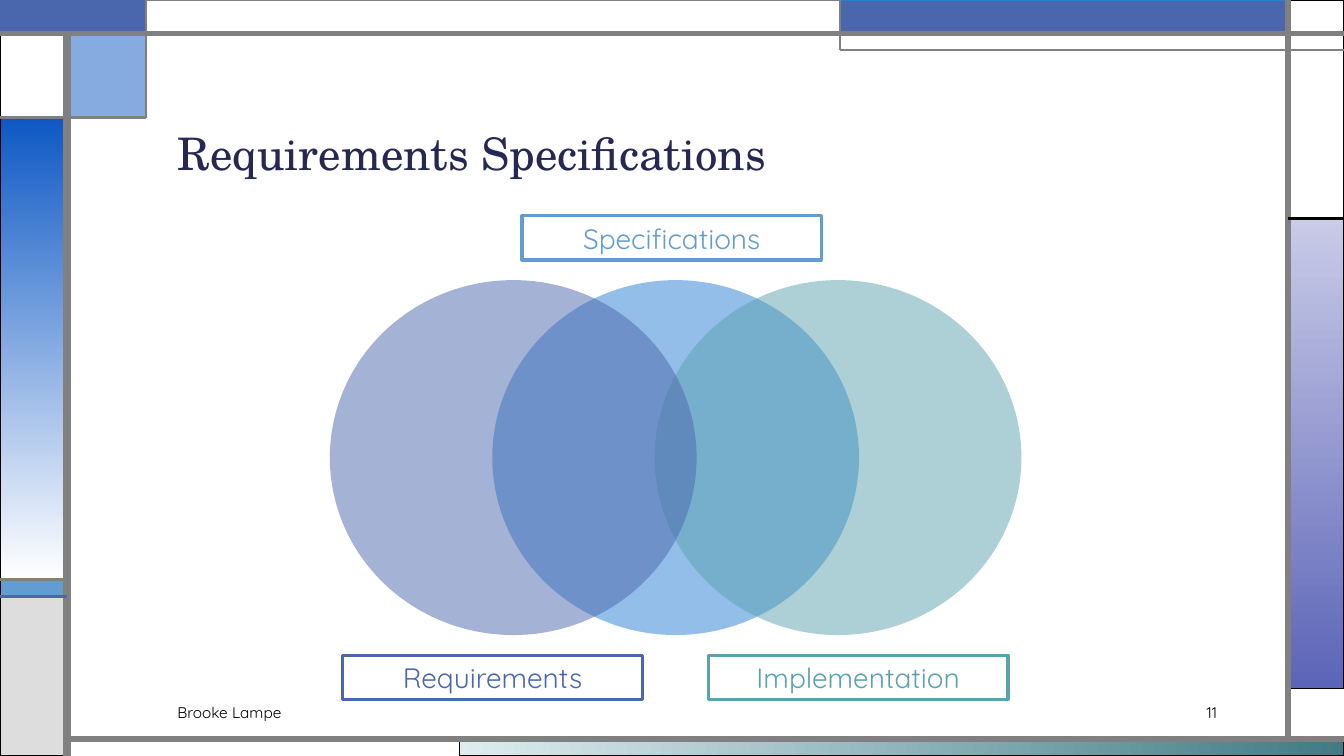
"""Build the requirements specifications slide: a framed page with a three-circle Venn diagram."""
from dataclasses import dataclass
from typing import Any, Optional

from lxml import etree
from pptx import Presentation
from pptx.dml.color import RGBColor
from pptx.enum.shapes import MSO_CONNECTOR, MSO_SHAPE
from pptx.enum.text import MSO_ANCHOR, MSO_AUTO_SIZE, PP_ALIGN
from pptx.oxml.ns import qn
from pptx.util import Inches, Pt

RECT, OVAL = MSO_SHAPE.RECTANGLE, MSO_SHAPE.OVAL
STRAIGHT = MSO_CONNECTOR.STRAIGHT
BOTTOM, MIDDLE = MSO_ANCHOR.BOTTOM, MSO_ANCHOR.MIDDLE
LEFT, CENTER, RIGHT = PP_ALIGN.LEFT, PP_ALIGN.CENTER, PP_ALIGN.RIGHT
NO_FIT = MSO_AUTO_SIZE.NONE

WIDTH, HEIGHT = Inches(40 / 3), Inches(7.5)
COLUMNS, ROWS = 120, 90


@dataclass(frozen=True)
class Theme:
    title_font: str = "TeX Gyre Schola"
    body_font: str = "Quicksand"
    title_size: int = 32
    label_size: int = 20
    footer_size: int = 11
    navy: str = "242852"
    indigo: str = "4A66AC"
    azure: str = "297FD5"
    sky: str = "629DD1"
    teal: str = "5AA2AE"
    cobalt: str = "0E58C4"
    white: str = "FFFFFF"
    black: str = "000000"
    gray: str = "808080"
    silver: str = "DDDDDD"
    pale_teal: str = "DEECEF"
    deep_teal: str = "417B85"
    lavender: str = "C9CBE7"
    violet: str = "5C64B7"


THEME = Theme()


@dataclass(frozen=True)
class Box:
    column: float
    row: float
    columns: float
    rows: float

    def emu(self) -> tuple[int, int, int, int]:
        return (across(self.column), down(self.row), across(self.columns), down(self.rows))


@dataclass(frozen=True)
class Panel:
    box: Box
    fill: Optional[str] = None
    fade_to: Optional[str] = None
    angle: int = 0
    alpha: int = 100
    edge: Optional[str] = THEME.black
    edge_width: float = 0.75
    outline: MSO_SHAPE = RECT


@dataclass(frozen=True)
class Rule:
    start: tuple[float, float]
    end: tuple[float, float]
    width: float
    color: str = THEME.gray


@dataclass(frozen=True)
class Wording:
    text: str
    size: int
    color: str
    font: str = THEME.body_font
    align: PP_ALIGN = LEFT
    anchor: MSO_ANCHOR = MIDDLE
    spacing: float = 1.0


@dataclass(frozen=True)
class VennSet:
    name: str
    position: int
    color: str
    label_color: str
    label_column: float
    label_row: float


FRAME_PANELS = [
    Panel(Box(41, 88, 79, 2), THEME.pale_teal, THEME.deep_teal),
    Panel(Box(115, 26, 5, 56), THEME.lavender, THEME.violet, 270),
    Panel(Box(0, 69, 6, 2), THEME.sky),
    Panel(Box(0, 71, 6, 19), THEME.silver),
    Panel(Box(115, 0, 5, 26), THEME.white),
    Panel(Box(75, 0, 40, 4), THEME.indigo, edge=THEME.azure),
    Panel(Box(6, 4, 7, 10), THEME.cobalt, alpha=50),
    Panel(Box(0, 14, 6, 55), THEME.cobalt, THEME.white, 270),
    Panel(Box(0, 4, 6, 10), THEME.white),
    Panel(Box(0, 0, 13, 4), THEME.indigo, edge=THEME.indigo, edge_width=1.5),
    Panel(Box(13, 0, 62, 4), THEME.white, edge=THEME.gray),
]
FRAME_RULES = [
    Rule((6, 90), (6, 4), 6),
    Rule((6, 88), (120, 88), 4.5),
    Rule((115, 88), (115, 0), 4.5),
    Rule((0, 4), (120, 4), 3),
    Rule((120, 6), (75, 6), 1.5),
    Rule((75, 6), (75, 0), 1.5),
    Rule((115, 26), (120, 26), 2.25, THEME.black),
    Rule((13, 0), (13, 14), 1.5),
    Rule((13, 14), (0, 14), 2.25),
    Rule((6, 69), (0, 69), 2.25),
    Rule((6, 71), (0, 71), 2.25, THEME.indigo),
]
VENN_SETS = [
    VennSet("Specifications", 1, THEME.azure, THEME.sky, 46.6, 25.7),
    VennSet("Implementation", 2, THEME.teal, THEME.teal, 63.25, 78),
    VennSet("Requirements", 0, THEME.indigo, THEME.indigo, 30.6, 78),
]
VENN_LEFT, VENN_TOP, VENN_STEP = 29.45, 33.35, 14.5
TITLE_BOX = Box(14.95, 7, 94.5, 15)
FOOTERS = [
    (Box(14.95, 83, 67.5, 3.6), "Brooke Lampe", LEFT),
    (Box(99.8, 83, 9.75, 3.6), "11", RIGHT),
]


def across(columns: float) -> int:
    """Convert grid columns to a length."""
    return round(WIDTH * columns / COLUMNS)


def down(rows: float) -> int:
    """Convert grid rows to a length."""
    return round(HEIGHT * rows / ROWS)


def assign(target: Any, values: dict[str, Any]) -> None:
    """Set each named format value on the target."""
    for name, value in values.items():
        setattr(target, name, value)


def draw_panel(slide: Any, panel: Panel) -> Any:
    """Draw a filled, faded or outlined shape."""
    shape = slide.shapes.add_shape(panel.outline, *panel.box.emu())
    shape.shadow.inherit = False
    if panel.fade_to:
        shape.fill.gradient()
        shape.fill.gradient_angle = panel.angle
        for stop, color in zip(shape.fill.gradient_stops, (panel.fill, panel.fade_to)):
            assign(stop, {"position": float(color == panel.fade_to)})
            stop.color.rgb = RGBColor.from_string(color)
    elif panel.fill:
        shape.fill.solid()
        shape.fill.fore_color.rgb = RGBColor.from_string(panel.fill)
        if panel.alpha < 100:
            tint = shape.fill._xPr.find(qn("a:solidFill"))[0]
            etree.SubElement(tint, qn("a:alpha"), val=str(panel.alpha * 1000))
    else:
        shape.fill.background()
    if panel.edge:
        shape.line.color.rgb = RGBColor.from_string(panel.edge)
        shape.line.width = Pt(panel.edge_width)
    else:
        shape.line.fill.background()
    return shape


def draw_rule(slide: Any, rule: Rule) -> None:
    """Draw one straight frame line."""
    ends = [length for column, row in (rule.start, rule.end) for length in (across(column), down(row))]
    connector = slide.shapes.add_connector(STRAIGHT, *ends)
    connector.line.color.rgb = RGBColor.from_string(rule.color)
    connector.line.width = Pt(rule.width)
    etree.SubElement(connector._element.spPr, qn("a:effectLst"))


def write(shape: Any, wording: Wording) -> None:
    """Put formatted wording into a shape."""
    frame = shape.text_frame
    frame.text = wording.text
    assign(frame, {"word_wrap": True, "auto_size": NO_FIT, "vertical_anchor": wording.anchor})
    paragraph = frame.paragraphs[0]
    assign(paragraph, {"alignment": wording.align, "line_spacing": wording.spacing})
    font = paragraph.runs[0].font
    assign(font, {"name": wording.font, "size": Pt(wording.size)})
    font.color.rgb = RGBColor.from_string(wording.color)


def main() -> None:
    """Assemble and save the slide."""
    deck = Presentation()
    assign(deck, {"slide_width": WIDTH, "slide_height": HEIGHT})
    slide = deck.slides.add_slide(deck.slide_layouts[5])
    for panel in FRAME_PANELS:
        draw_panel(slide, panel)
    for rule in FRAME_RULES:
        draw_rule(slide, rule)
    title = slide.shapes.title
    assign(title, dict(zip(("left", "top", "width", "height"), TITLE_BOX.emu())))
    write(title, Wording("Requirements Specifications", THEME.title_size, THEME.navy,
                         THEME.title_font, anchor=BOTTOM, spacing=0.9))
    for venn in VENN_SETS:
        circle = Box(VENN_LEFT + venn.position * VENN_STEP, VENN_TOP, 32.75, 42.25)
        draw_panel(slide, Panel(circle, venn.color, alpha=50, edge=None, outline=OVAL))
    for venn in VENN_SETS:
        label_box = Box(venn.label_column, venn.label_row, 26.75, 5.25)
        label = draw_panel(slide, Panel(label_box, edge=venn.label_color, edge_width=2.25))
        write(label, Wording(venn.name, THEME.label_size, venn.label_color, align=CENTER))
    for box, text, align in FOOTERS:
        write(slide.shapes.add_textbox(*box.emu()),
              Wording(text, THEME.footer_size, THEME.black, align=align))
    deck.save("out.pptx")


if __name__ == "__main__":
    main()
